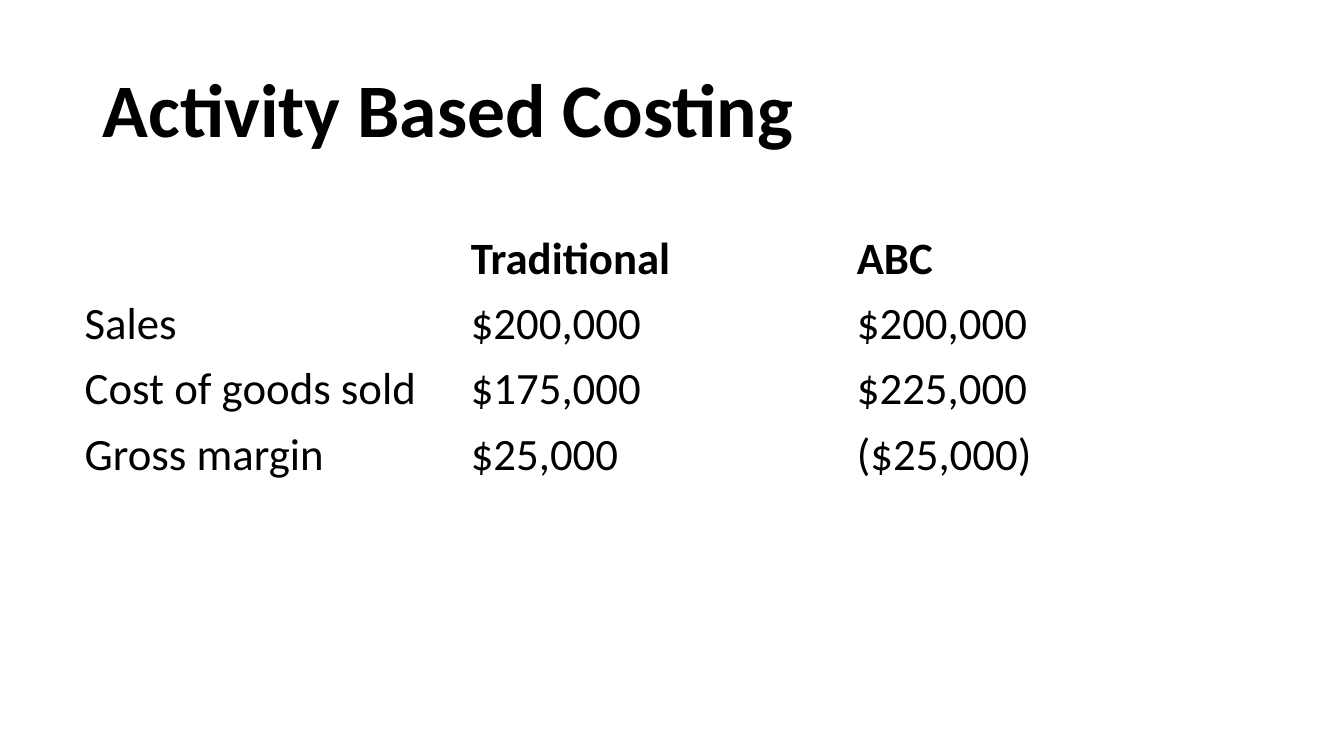
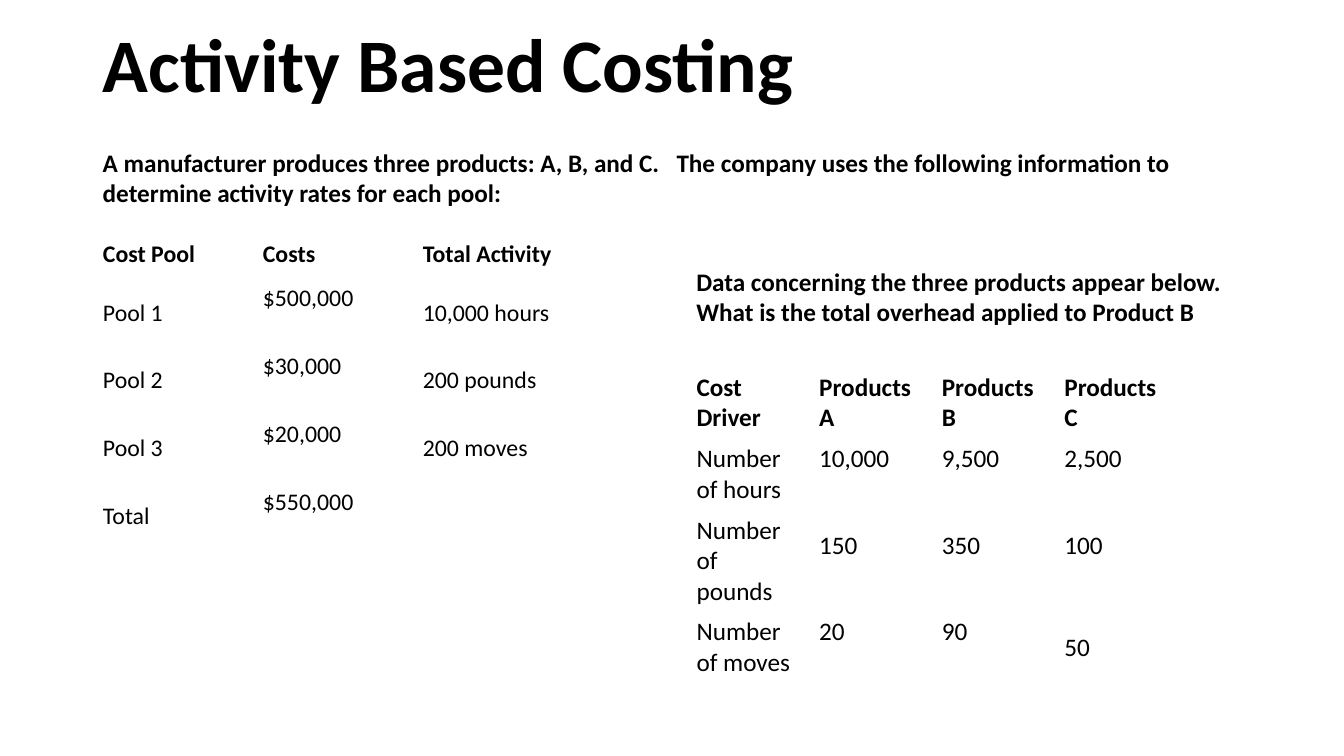
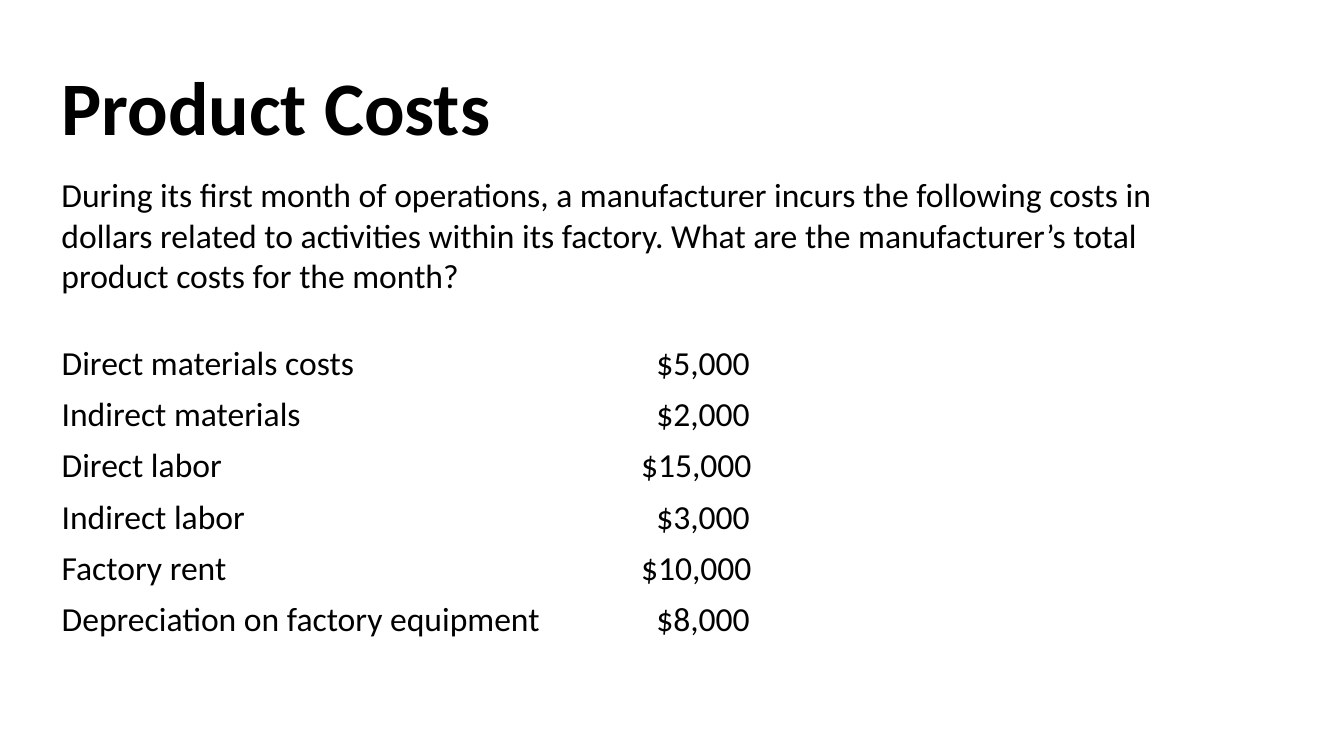
import pptx
import pptx.util
import pptx.dml.color
import pptx.enum.text
import pptx.oxml.ns
import lxml.etree

Cm = pptx.util.Cm
MIDDLE = pptx.enum.text.MSO_ANCHOR.MIDDLE
TOP = pptx.enum.text.MSO_ANCHOR.TOP
FONT = "Calibri"
HEX = {"ink": "000000", "paper": "FFFFFF"}
WIDE, HIGH = 33.87, 19.05
PAD = 0.13
LINE = 0.043


def color(name):
    """Return the named colour."""
    return pptx.dml.color.RGBColor.from_string(HEX[name])


def write(para, text, size, bold=False):
    """Put styled text into a paragraph."""
    para.text = text
    font = para.font
    font.name, font.size, font.bold = FONT, pptx.util.Pt(size), bold
    font.color.rgb = color("ink")


def label(slide, box, text, size, bold=False, anchor=TOP):
    """Add a wrapped text box and return its paragraph."""
    frame = slide.shapes.add_textbox(*map(Cm, box)).text_frame
    frame.word_wrap = True
    frame.vertical_anchor = anchor
    para = frame.paragraphs[0]
    write(para, text, size, bold)
    return para


def title(slide, box, text):
    """Add the slide title."""
    label(slide, box, text, 54, True, MIDDLE).line_spacing = 0.9


def tab(para, pos):
    """Set one left tab stop."""
    qn = pptx.oxml.ns.qn
    stops = lxml.etree.Element(qn("a:tabLst"))
    lxml.etree.SubElement(stops, qn("a:tab"), pos=str(Cm(pos)), algn="l")
    para._p.get_or_add_pPr().insert(0, stops)


def grid(slide, spot, width, tall, rows, size, head=True, lift=(), inset=None):
    """Add a plain table; lift raises cells by half a line, inset indents texts."""
    count = len(rows[0])
    box = (*spot, width * count, sum(tall))
    table = slide.shapes.add_table(len(rows), count, *map(Cm, box)).table
    table.first_row, table.horz_banding = head, False
    for col in table.columns:
        col.width = Cm(width)
    for r, row in enumerate(rows):
        table.rows[r].height = Cm(tall[r])
        for c, text in enumerate(row):
            cell = table.cell(r, c)
            cell.fill.solid()
            cell.fill.fore_color.rgb = color("paper")
            cell.vertical_anchor = MIDDLE
            write(cell.text_frame.paragraphs[0], text, size, head and r == 0)
            if (r, c) in lift:
                cell.margin_bottom = Cm(PAD + size * LINE)
            if inset and text in inset:
                cell.margin_left = Cm(inset[text])


def margin(deck):
    """Build the slide that compares gross margins."""
    slide = deck.slides.add_slide(deck.slide_layouts[6])
    title(slide, (2.34, 1.02, 29.21, 3.68), "Activity Based Costing")
    rows = [
        ("", "Traditional", "ABC"),
        ("Sales", "$200,000", "$200,000"),
        ("Cost of goods sold", "$175,000", "$225,000"),
        ("Gross margin", "$25,000", "($25,000)"),
    ]
    grid(slide, (1.88, 5.72), 9.73, [1.64] * 4, rows, 32)


def pools(slide, spot):
    """Add the table of cost pools."""
    rows = [
        ("Cost Pool", "Costs", "Total Activity"),
        ("Pool 1", "$500,000", "10,000 hours"),
        ("Pool 2", "$30,000", "200 pounds"),
        ("Pool 3", "$20,000", "200 moves"),
        ("Total", "$550,000", ""),
    ]
    lift = [(r, 1) for r in range(1, 5)]
    grid(slide, spot, 4.03, [1.24] + [1.71] * 4, rows, 17, lift=lift)


def goods(slide, spot):
    """Add the question on the products and their table."""
    left, top = spot
    label(slide, (left, top, 14.6, 1.8), "Data concerning the three products "
          "appear below.\nWhat is the total overhead applied to Product B",
          18, True)
    rows = [
        ("Cost Driver", "Products A", "Products B", "Products C"),
        ("Number of hours", "10,000", "9,500", "2,500"),
        ("Number of pounds", "150", "350", "100"),
        ("Number of moves", "20", "90", "50"),
    ]
    lift = {(r, c) for r in (1, 2, 3) for c in (1, 2, 3)} - {(3, 3)}
    grid(slide, (left, top + 2.67), 3.09, [1.8, 1.8, 2.57, 1.8], rows, 18,
         lift=lift)


def rates(deck):
    """Build the slide on activity rates."""
    slide = deck.slides.add_slide(deck.slide_layouts[6])
    title(slide, (2.34, 1.02, 29.21, 1.37), "Activity Based Costing")
    para = label(slide, (2.34, 3.58, 28.78, 1.8),
                 "A manufacturer produces three products: A, B, and C.\tThe "
                 "company uses the following information to determine "
                 "activity rates for each pool:", 18, True)
    tab(para, 14.46)
    pools(slide, (2.34, 5.79))
    goods(slide, (17.3, 6.58))


def costs(deck):
    """Build the slide on product costs."""
    slide = deck.slides.add_slide(deck.slide_layouts[6])
    title(slide, (1.3, 1.7, 29.21, 2.21), "Product Costs")
    label(slide, (1.3, 4.27, 27.99, 3.33),
          "During its first month of operations, a manufacturer incurs the "
          "following costs in dollars related to activities within its "
          "factory. What are the manufacturer’s total product costs for the "
          "month?", 24)
    rows = [
        ("Direct materials costs", "$5,000"),
        ("Indirect materials", "$2,000"),
        ("Direct labor", "$15,000"),
        ("Indirect labor", "$3,000"),
        ("Factory rent", "$10,000"),
        ("Depreciation on factory equipment", "$8,000"),
    ]
    short = {sum_: 0.64 for _, sum_ in rows if len(sum_) == 6}
    grid(slide, (1.3, 8.53), 14.6, [1.29] * 6, rows, 24, False, inset=short)


def main():
    """Build and save the deck."""
    deck = pptx.Presentation()
    deck.slide_width, deck.slide_height = Cm(WIDE), Cm(HIGH)
    for build in (margin, rates, costs):
        build(deck)
    deck.save("out.pptx")


if __name__ == "__main__":
    main()
